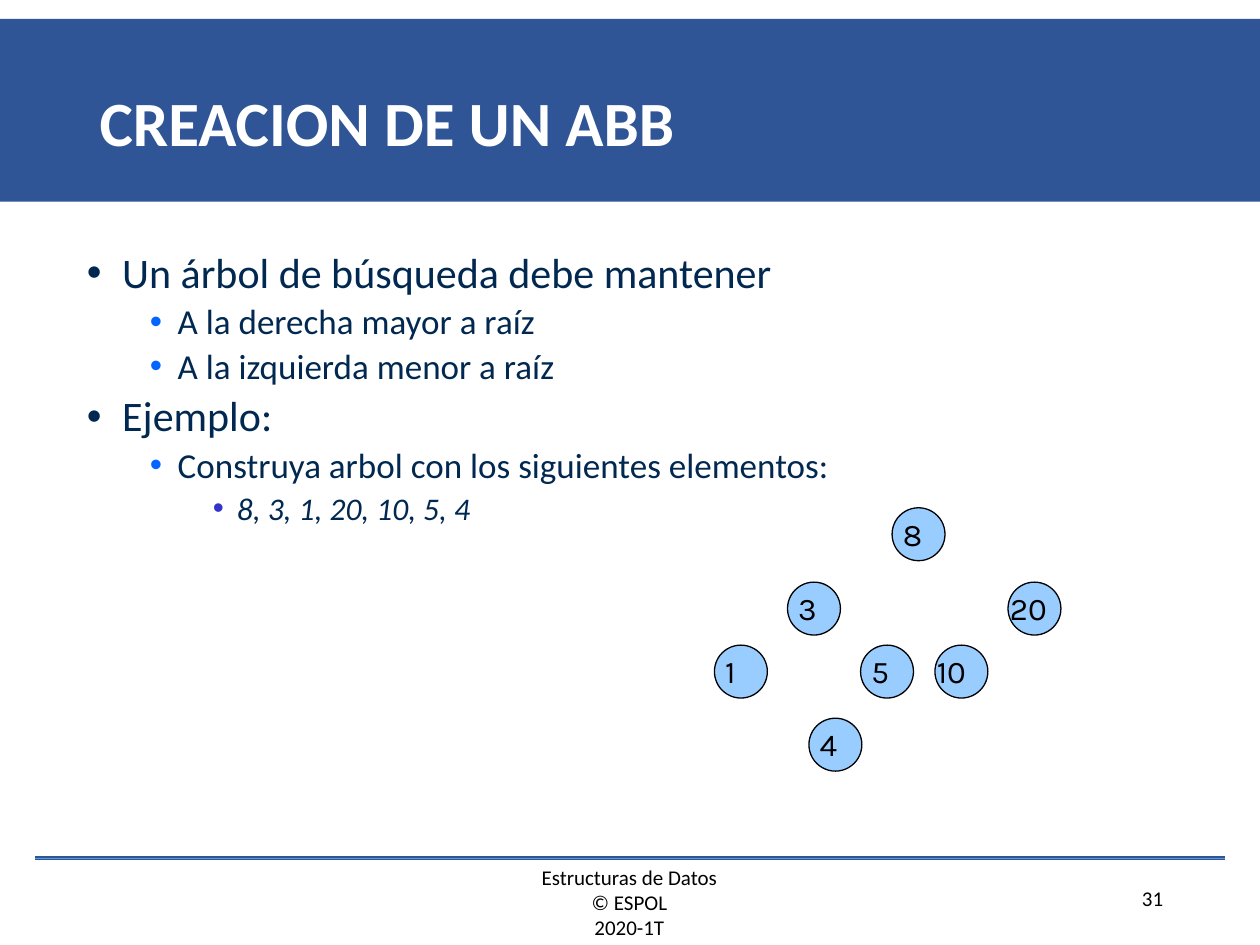
from lxml.etree import SubElement
from pptx import Presentation
from pptx.dml.color import RGBColor
from pptx.enum.shapes import MSO_CONNECTOR, MSO_SHAPE
from pptx.enum.text import MSO_ANCHOR, MSO_AUTO_SIZE, PP_ALIGN
from pptx.oxml.ns import qn
from pptx.util import Inches, Pt

COLORS = {
    "band": "2F5597", "accent": "5B9BD5", "ink": "002850", "black": "000000",
    "white": "FFFFFF", "node": "99CCFF", "second": "0066FF", "third": "3333CC",
}
LEVELS = [
    {"size": 24, "margin": 0.28, "hanging": 0.28, "before": 5, "bullet": "ink"},
    {"size": 20, "margin": 0.72, "hanging": 0.22, "before": 4, "bullet": "second"},
    {"size": 18, "margin": 1.19, "hanging": 0.19, "before": 4, "bullet": "third"},
]
OUTLINE = [
    (0, "Un árbol de búsqueda debe mantener"),
    (1, "A la derecha mayor a raíz"),
    (1, "A la izquierda menor a raíz"),
    (0, "Ejemplo:"),
    (1, "Construya arbol con los siguientes elementos:"),
    (2, "8, 3, 1, 20, 10, 5, 4"),
]
TREE = [
    ("8", 7.08, 4.03), ("3", 6.25, 4.62), ("1", 5.67, 5.12), ("20", 8, 4.62),
    ("10", 7.42, 5.12), ("5", 6.83, 5.12), ("4", 6.42, 5.7),
]
DIAMETER = 0.42
LABEL_HEIGHT = 0.41
LABEL_WIDTHS = {1: 0.25, 2: 0.39}


def color(name):
    return RGBColor.from_string(COLORS[name])


class SlideBuilder:
    font_name = "Calibri"
    label_font = "Karla"

    def __init__(self, page):
        self.page = page

    def place(self, shape, left, top, width, height):
        shape.left, shape.top = Inches(left), Inches(top)
        shape.width, shape.height = Inches(width), Inches(height)

    def style(self, paragraph, size, ink, name=None, bold=False, italic=False):
        font = paragraph.font
        font.name = name or self.font_name
        font.size = Pt(size)
        font.bold = bold
        font.italic = italic
        font.color.rgb = color(ink)

    def clear_insets(self, frame):
        frame.margin_left = frame.margin_right = 0
        frame.margin_top = frame.margin_bottom = 0

    def band(self, left, top, width, height):
        shape = self.page.shapes.add_shape(
            MSO_SHAPE.RECTANGLE, Inches(left), Inches(top), Inches(width), Inches(height))
        shape.shadow.inherit = False
        shape.fill.solid()
        shape.fill.fore_color.rgb = color("band")
        shape.line.fill.background()

    def rule(self, left, right, top, ink, weight):
        line = self.page.shapes.add_connector(
            MSO_CONNECTOR.STRAIGHT, Inches(left), Inches(top), Inches(right), Inches(top))
        line.line.color.rgb = color(ink)
        line.line.width = Pt(weight)
        SubElement(line.element.spPr, qn("a:effectLst"))

    def text(self, lines, left, top, width, height, align, size=12,
             name=None, tight=False, shapes=None):
        box = (shapes or self.page.shapes).add_textbox(
            Inches(left), Inches(top), Inches(width), Inches(height))
        frame = box.text_frame
        frame.word_wrap = True
        if tight:
            self.clear_insets(frame)
            frame.vertical_anchor = MSO_ANCHOR.MIDDLE
        frame.text = "\n".join(lines)
        for paragraph in frame.paragraphs:
            paragraph.alignment = align
            self.style(paragraph, size, "black", name)

    def node(self, value, left, top):
        group = self.page.shapes.add_group_shape()
        circle = group.shapes.add_shape(
            MSO_SHAPE.OVAL, Inches(left), Inches(top), Inches(DIAMETER), Inches(DIAMETER))
        circle.shadow.inherit = False
        circle.fill.solid()
        circle.fill.fore_color.rgb = color("node")
        circle.line.color.rgb = color("black")
        circle.line.width = Pt(0.75)
        width = LABEL_WIDTHS[len(value)]
        self.text([value], left + (DIAMETER - width) / 2, top, width, LABEL_HEIGHT,
                  PP_ALIGN.LEFT, 18, self.label_font, True, group.shapes)

    def bullet(self, paragraph, level):
        properties = paragraph._p.get_or_add_pPr()
        properties.set("marL", str(Inches(level["margin"])))
        properties.set("indent", str(-Inches(level["hanging"])))
        tint = SubElement(properties, qn("a:buClr"))
        SubElement(tint, qn("a:srgbClr"), val=COLORS[level["bullet"]])
        SubElement(properties, qn("a:buFont"), typeface="Arial")
        SubElement(properties, qn("a:buChar"), char="•")

    def outline(self, items, left, top, width, height):
        body = self.page.placeholders[1]
        self.place(body, left, top, width, height)
        frame = body.text_frame
        frame.auto_size = MSO_AUTO_SIZE.NONE
        self.clear_insets(frame)
        frame.text = "\n".join(text for _, text in items)
        for index, (depth, _) in enumerate(items):
            paragraph, level = frame.paragraphs[index], LEVELS[depth]
            paragraph.level = depth
            paragraph.line_spacing = 0.9
            paragraph.space_before = Pt(level["before"] if index else 0)
            self.bullet(paragraph, level)
            self.style(paragraph, level["size"], "ink", italic=depth == 2)

    def title(self, text, left, top, width, height):
        title = self.page.shapes.title
        self.place(title, left, top, width, height)
        title.element.getparent().append(title.element)
        frame = title.text_frame
        frame.auto_size = MSO_AUTO_SIZE.NONE
        frame.vertical_anchor = MSO_ANCHOR.MIDDLE
        frame.text = text
        paragraph = frame.paragraphs[0]
        paragraph.alignment = PP_ALIGN.LEFT
        paragraph.line_spacing = 0.9
        self.style(paragraph, 36, "white", bold=True)


def main():
    deck = Presentation()
    deck.slide_width, deck.slide_height = Inches(10), Inches(7.5)
    builder = SlideBuilder(deck.slides.add_slide(deck.slide_layouts[1]))
    builder.text(["Estructuras de Datos", "© ESPOL", "2020-1T"],
                 3.25, 6.81, 3.49, 0.71, PP_ALIGN.CENTER)
    builder.text(["31"], 7.2, 6.98, 2.13, 0.3, PP_ALIGN.RIGHT)
    for ink, weight in (("band", 2.25), ("accent", 0.5)):
        builder.rule(0.28, 9.72, 6.81, ink, weight)
    builder.band(0, 0.15, 10, 1.45)
    builder.outline(OUTLINE, 0.69, 2, 8.62, 4.76)
    for value, left, top in TREE:
        builder.node(value, left, top)
    builder.title("CREACION DE UN ABB", 0.69, 0.4, 8.62, 1.2)
    deck.save("out.pptx")


if __name__ == "__main__":
    main()
